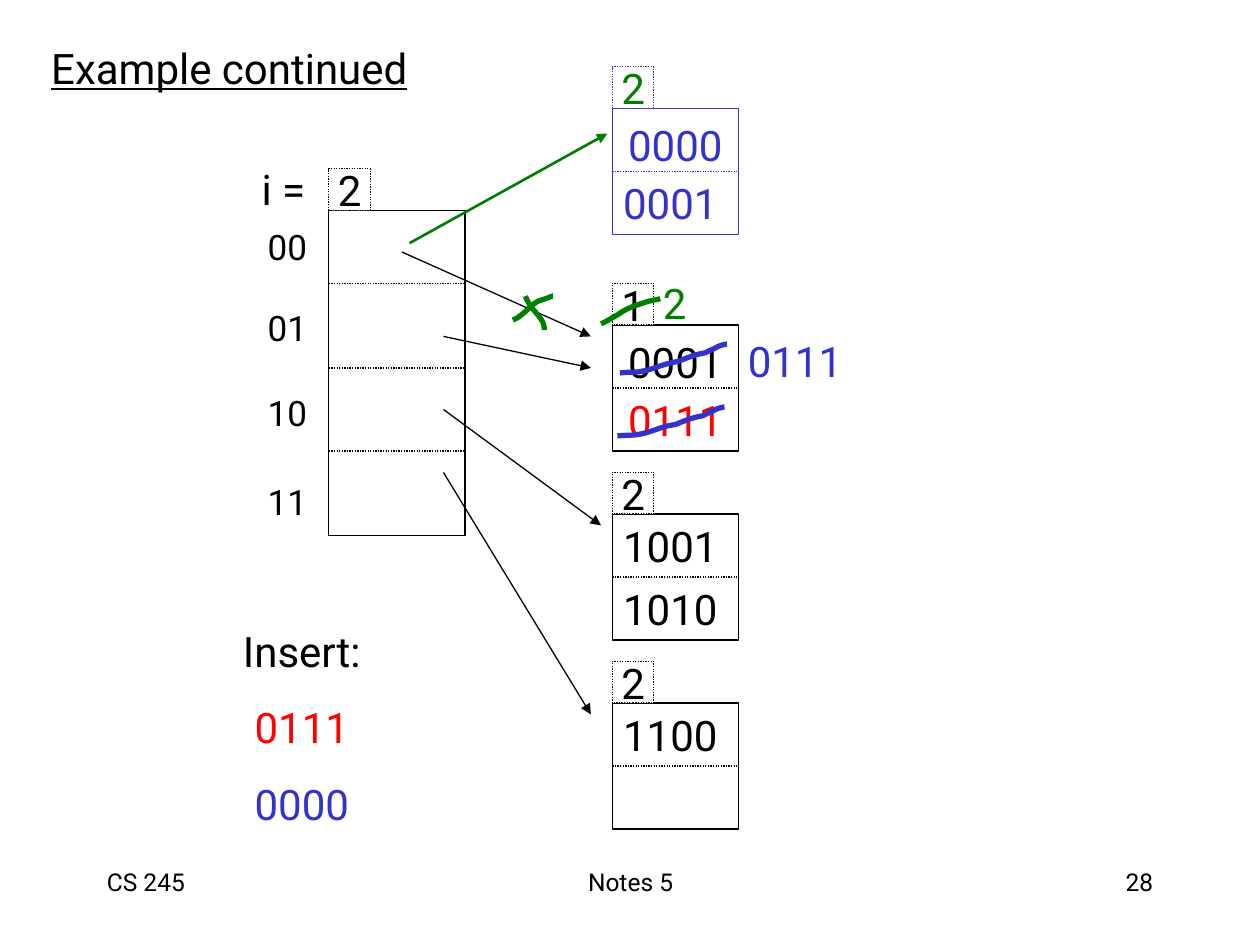
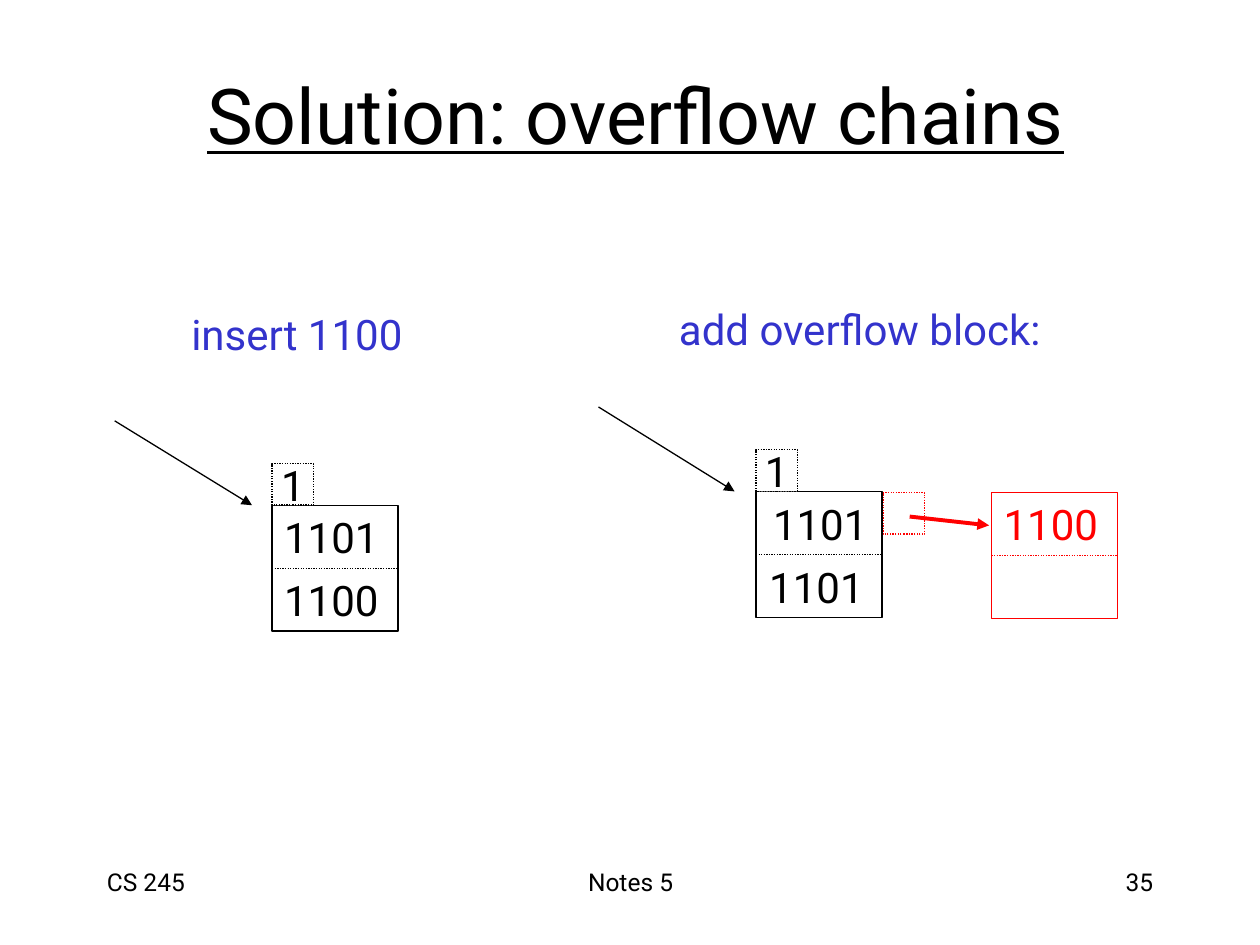
"""Build two slides on extensible hashing: a directory split and overflow chains."""
from dataclasses import dataclass, field

from lxml import etree
from pptx import Presentation
from pptx import util as u
from pptx.dml.color import RGBColor
from pptx.enum import dml, shapes, text
from pptx.oxml.ns import qn
from pptx.shapes.autoshape import Shape
from pptx.slide import Slide

Point = tuple[float, float]
ALIGN = text.PP_ALIGN
ANCHOR = text.MSO_ANCHOR


@dataclass(frozen=True)
class Theme:
    """Colours, font, type sizes and line widths in points."""
    black: RGBColor = RGBColor(0, 0, 0)
    white: RGBColor = RGBColor(255, 255, 255)
    red: RGBColor = RGBColor(255, 0, 0)
    blue: RGBColor = RGBColor(0x33, 0x33, 0xCC)
    green: RGBColor = RGBColor(0, 0x80, 0)
    font: str = "Roboto"
    title: int = 44
    body: int = 24
    index: int = 20
    footer: int = 14
    thin: float = 0.75
    pen: float = 3


THEME = Theme()
CELL = 0.33
ROW = 0.5


@dataclass(frozen=True)
class Label:
    """A text box, one paragraph a line, with optional colours and spacings per line."""
    lines: tuple[str, ...]
    left: float
    top: float
    width: float
    height: float = ROW
    colors: tuple[RGBColor, ...] = (THEME.black,)
    size: int = THEME.body
    align: ALIGN = ALIGN.CENTER
    anchor: ANCHOR = ANCHOR.MIDDLE
    gap: float = 15
    spacings: tuple[float, ...] = ()
    underline: bool = False
    wrap: bool = False


@dataclass(frozen=True)
class Entry:
    """A key in a bucket, with its offset from the bucket's row."""
    key: str
    color: RGBColor = THEME.black
    dx: float = -0.02
    dy: float = 0


@dataclass(frozen=True)
class Bucket:
    """A two-row block with an optional local depth above it."""
    left: float
    top: float
    entries: tuple[Entry, ...]
    depth: str = ""
    color: RGBColor = THEME.black
    depth_color: RGBColor = THEME.black


@dataclass(frozen=True)
class Pointer:
    """A straight line, with an arrowhead unless it is a divider."""
    start: Point
    end: Point
    color: RGBColor = THEME.black
    width: float = THEME.thin
    dotted: bool = False


@dataclass(frozen=True)
class Stroke:
    """A pen stroke of cubic curves, relative to its corner."""
    left: float
    top: float
    curve: tuple[Point, ...] = field(repr=False)
    color: RGBColor = THEME.green


KEY_STRIKE = ((0, .23), (.13, .22), (.12, .23), (.21, .21), (.29, .19), (.37, .15),
              (.46, .14), (.53, .11), (.61, .08), (.68, .07), (.71, .05), (.75, .04),
              (.78, .02), (.8, .01), (.85, 0), (.85, 0))
DEPTH_STRIKE = ((0, .2), (.05, .18), (.09, .15), (.13, .13), (.21, .07), (.29, .05),
                (.38, .02), (.4, .02), (.42, .01), (.43, .01), (.45, .01), (.47, 0),
                (.47, 0))
CROSS_RISING = ((0, .19), (.08, .16), (.13, .08), (.2, .04), (.23, .03), (.26, .02),
                (.29, .01), (.3, 0), (.32, 0), (.32, 0))
CROSS_FALLING = ((0, 0), (.02, .06), (.05, .09), (.09, .14), (.11, .16), (.14, .21),
                 (.14, .21), (.15, .26), (.15, .24), (.15, .27))


def style_runs(paragraph, size: int, color: RGBColor, underline: bool = False) -> None:
    """Format every run of a paragraph."""
    for run in paragraph.runs:
        run.font.name = THEME.font
        run.font.size = u.Pt(size)
        run.font.color.rgb = color
        run.font.underline = underline


def style_line(line, color: RGBColor, width: float = THEME.thin, dotted: bool = False) -> None:
    """Set a line's colour, width and dash."""
    line.color.rgb = color
    line.width = u.Pt(width)
    if dotted:
        line.dash_style = dml.MSO_LINE.ROUND_DOT


def draw_label(slide: Slide, label: Label) -> None:
    """Draw a text box."""
    box = slide.shapes.add_textbox(*map(u.Inches, (label.left, label.top, label.width, label.height)))
    frame = box.text_frame
    frame.text = "\n".join(label.lines)
    frame.word_wrap = label.wrap
    if not label.wrap:
        frame.auto_size = text.MSO_AUTO_SIZE.SHAPE_TO_FIT_TEXT
    frame.vertical_anchor = label.anchor
    for i, paragraph in enumerate(frame.paragraphs):
        paragraph.alignment = label.align
        if i:
            paragraph.space_before = u.Pt(label.gap)
        if label.spacings:
            paragraph.line_spacing = label.spacings[i]
        style_runs(paragraph, label.size, label.colors[i % len(label.colors)], label.underline)


def draw_box(slide: Slide, left: float, top: float, width: float, height: float,
             color: RGBColor, dotted: bool = False) -> Shape:
    """Draw a white rectangle with an outline."""
    box = slide.shapes.add_shape(shapes.MSO_SHAPE.RECTANGLE,
                                 *map(u.Inches, (left, top, width, height)))
    box.shadow.inherit = False
    box.fill.solid()
    box.fill.fore_color.rgb = THEME.white
    style_line(box.line, color, dotted=dotted)
    return box


def draw_cell(slide: Slide, left: float, top: float, digit: str,
              color: RGBColor, digit_color: RGBColor) -> None:
    """Draw a small dotted cell holding one digit or nothing."""
    cell = draw_box(slide, left, top, CELL, CELL, color, dotted=True)
    if digit:
        frame = cell.text_frame
        frame.text = digit
        frame.word_wrap = False
        frame.vertical_anchor = ANCHOR.MIDDLE
        frame.paragraphs[0].alignment = ALIGN.CENTER
        style_runs(frame.paragraphs[0], THEME.body, digit_color)


def draw_pointer(slide: Slide, pointer: Pointer):
    """Draw an arrow or a dotted divider."""
    ends = map(u.Inches, (*pointer.start, *pointer.end))
    link = slide.shapes.add_connector(shapes.MSO_CONNECTOR.STRAIGHT, *ends)
    style_line(link.line, pointer.color, pointer.width, pointer.dotted)
    properties = link._element.spPr
    if not pointer.dotted:
        etree.SubElement(properties.find(qn("a:ln")), qn("a:tailEnd"), type="triangle")
    etree.SubElement(properties, qn("a:effectLst"))
    return link


def draw_bucket(slide: Slide, bucket: Bucket) -> None:
    """Draw a bucket with its depth, divider and keys."""
    left, top = bucket.left, bucket.top
    block = draw_box(slide, left, top, 1, 2 * ROW, bucket.color)
    if bucket.depth:
        draw_cell(slide, left, top - CELL, bucket.depth, bucket.color, bucket.depth_color)
    divider = draw_pointer(slide, Pointer((left, top + ROW), (left + 1, top + ROW),
                                          bucket.color, dotted=True))
    divider.begin_connect(block, 1)
    divider.end_connect(block, 3)
    for i, entry in enumerate(bucket.entries):
        draw_label(slide, Label((entry.key,), left + entry.dx, top + ROW * i + entry.dy, 0.96,
                                colors=(entry.color,)))


def draw_stroke(slide: Slide, stroke: Stroke, steps: int = 6) -> None:
    """Draw a pen stroke by sampling its cubic curves."""
    curve = stroke.curve
    points = [curve[0]]
    for i in range(0, len(curve) - 1, 3):
        for t in (step / steps for step in range(1, steps + 1)):
            weights = ((1 - t) ** 3, 3 * t * (1 - t) ** 2, 3 * t * t * (1 - t), t ** 3)
            points.append(tuple(sum(w * p[axis] for w, p in zip(weights, curve[i:i + 4]))
                                for axis in (0, 1)))
    placed = [(u.Inches(stroke.left + x), u.Inches(stroke.top + y)) for x, y in points]
    builder = slide.shapes.build_freeform(*placed[0])
    builder.add_line_segments(placed[1:], close=False)
    mark = builder.convert_to_shape()
    mark.shadow.inherit = False
    mark.fill.background()
    style_line(mark.line, stroke.color, THEME.pen)


def draw_directory(slide: Slide) -> None:
    """Draw the hash directory with its global depth and indexes."""
    left, top, width, height = 2.61, 1.67, 1.08, 2.58
    draw_box(slide, left, top, width, height, THEME.black)
    draw_cell(slide, left, top - CELL, "2", THEME.black, THEME.black)
    for y in (2.25, 2.92, 3.58):
        draw_pointer(slide, Pointer((left, y), (left + width, y), dotted=True))
    draw_label(slide, Label(("i =",), 1.97, 1.25, 0.56))
    draw_label(slide, Label(("00", "01", "10", "11"), 2.02, 1.74, 0.52, 2.46, size=THEME.index,
                            gap=12.5, spacings=(1, 1.4, 1.5, 1.6)))


def add_slide(deck, number: int) -> Slide:
    """Add a blank slide with the shared footer."""
    slide = deck.slides.add_slide(deck.slide_layouts[6])
    for words, left, width, align in (("CS 245", 0.75, 2.08, ALIGN.LEFT),
                                      ("Notes 5", 3.42, 3.17, ALIGN.CENTER),
                                      (str(number), 7.17, 2.08, ALIGN.RIGHT)):
        draw_label(slide, Label((words,), left, 6.83, width, size=THEME.footer, align=align,
                                anchor=ANCHOR.TOP, wrap=True))
    return slide


def build_split(deck) -> None:
    """Build the slide that inserts keys and splits a bucket."""
    slide = add_slide(deck, 28)
    left = 4.86
    for bucket in (
        Bucket(left, 2.58, (Entry("0001", dx=0.02, dy=0.04),
                            Entry("0111", THEME.red, dx=0.02)), "1"),
        Bucket(left, 4.08, (Entry("1001"), Entry("1010")), "2"),
        Bucket(left, 5.58, (Entry("1100"),), "2"),
        Bucket(left, 0.86, (Entry("0000", THEME.blue, 0.02, 0.04), Entry("0001", THEME.blue)),
               "2", THEME.blue, THEME.green),
    ):
        draw_bucket(slide, bucket)
    draw_directory(slide)
    for pointer in (Pointer((3.19, 2), (4.69, 2.67)), Pointer((3.52, 2.67), (4.69, 2.92)),
                    Pointer((3.52, 3.25), (4.77, 4.17)), Pointer((3.52, 3.75), (4.69, 5.67)),
                    Pointer((3.25, 1.93), (4.82, 1.06), THEME.green, 1.5)):
        draw_pointer(slide, pointer)
    for label in (Label(("Example continued",), 0.22, 0.29, 3.2, underline=True),
                  Label(("Insert:", "0111", "0000"), 1.79, 4.91, 1.21, 1.72,
                        colors=(THEME.black, THEME.red, THEME.blue)),
                  Label(("0111",), 5.83, 2.61, 0.96, colors=(THEME.blue,)),
                  Label(("2",), 5.16, 2.15, 0.39, colors=(THEME.green,))):
        draw_label(slide, label)
    for stroke in (Stroke(4.9, 3.23, KEY_STRIKE, THEME.blue),
                   Stroke(4.92, 2.73, KEY_STRIKE, THEME.blue),
                   Stroke(4.07, 2.35, CROSS_RISING), Stroke(4.17, 2.35, CROSS_FALLING),
                   Stroke(4.77, 2.37, DEPTH_STRIKE)):
        draw_stroke(slide, stroke)


def build_overflow(deck) -> None:
    """Build the slide that chains an overflow block."""
    slide = add_slide(deck, 35)
    draw_label(slide, Label(("Solution: overflow chains",), 0.65, 0.28, 8.79, 1.25,
                            size=THEME.title, underline=True, wrap=True))
    for words, left, top, width in (("insert 1100", 1.42, 2.4, 1.94),
                                    ("add overflow block:", 5.29, 2.36, 3.25)):
        draw_label(slide, Label((words,), left, top, width, colors=(THEME.blue,),
                                align=ALIGN.LEFT, anchor=ANCHOR.TOP))
    for bucket in (
        Bucket(2.16, 4.01, (Entry("1101", dx=-0.01), Entry("1100", dx=-0.01)), "1"),
        Bucket(6, 3.9, (Entry("1101", dx=0.03, dy=0.01), Entry("1101", dx=0, dy=0.01)), "1"),
        Bucket(7.87, 3.91, (Entry("1100", THEME.red, -0.01),), color=THEME.red),
    ):
        draw_bucket(slide, bucket)
    draw_cell(slide, 7.01, 3.91, "", THEME.red, THEME.red)
    for pointer in (Pointer((0.91, 3.34), (2, 4.01)), Pointer((4.75, 3.23), (5.83, 3.9)),
                    Pointer((7.22, 4.1), (7.85, 4.17), THEME.red, 2.25)):
        draw_pointer(slide, pointer)


def main() -> None:
    """Build and save the deck."""
    deck = Presentation()
    deck.slide_width, deck.slide_height = u.Inches(10), u.Inches(7.5)
    build_split(deck)
    build_overflow(deck)
    deck.save("out.pptx")


if __name__ == "__main__":
    main()
